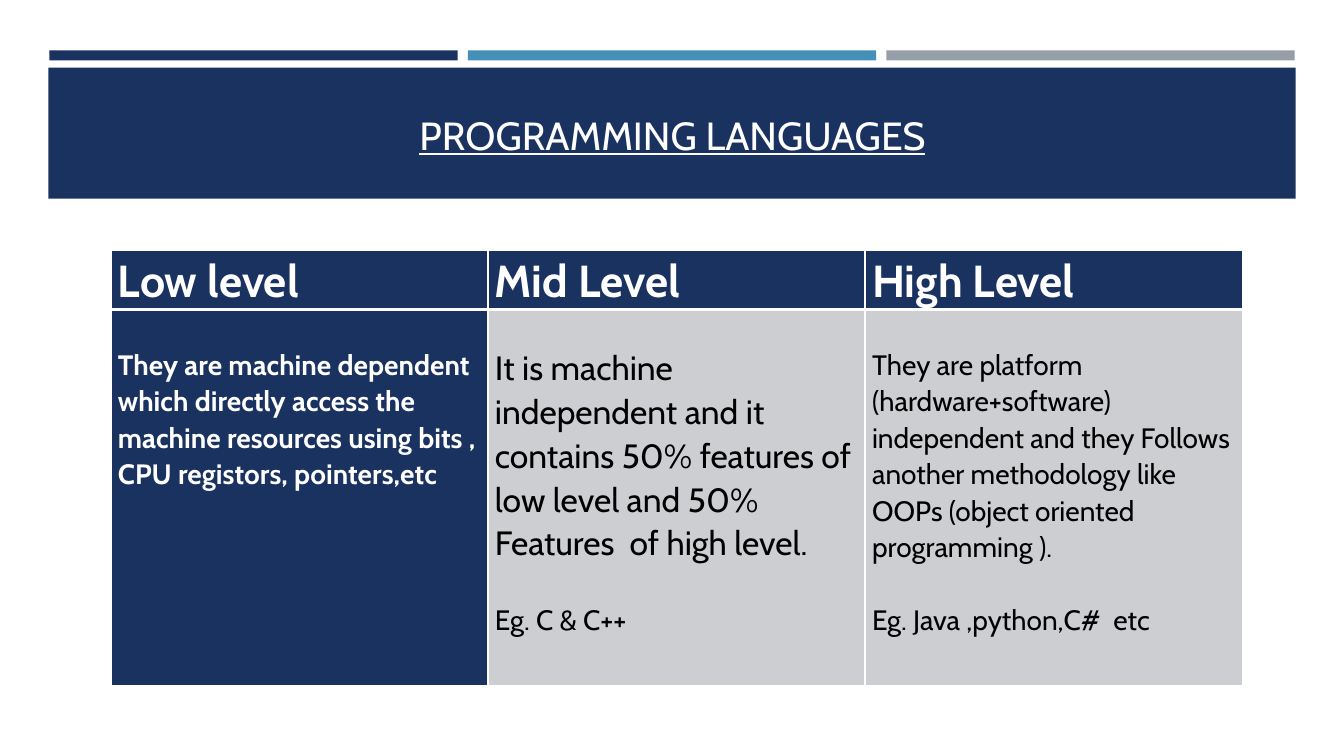
from lxml import etree
from pptx import Presentation
from pptx import util as u
from pptx.dml.color import RGBColor
from pptx.enum import shapes, text
from pptx.oxml.ns import qn

COLORS = {"navy": "1A3260", "blue": "4590B8", "gray": "969FA7",
          "pale": "CDCED2", "white": "FFFFFF", "black": "000000"}


def add_run(para, words, size, color, bold=False):
    run = para.add_run()
    run.text = words
    font = run.font
    font.name, font.size, font.bold = "Cabin", u.Pt(size), bold
    font.color.rgb = RGBColor.from_string(COLORS[color])
    return run


def add_edge(cell, side, width):
    props = cell._tc.get_or_add_tcPr()
    line = etree.SubElement(props, qn(f"a:ln{side}"), w=str(u.Pt(width)))
    fill = etree.SubElement(line, qn("a:solidFill"))
    etree.SubElement(fill, qn("a:srgbClr"), val=COLORS["white"])


deck = Presentation()
deck.slide_width, deck.slide_height = u.Inches(13.33), u.Inches(7.5)
slide = deck.slides.add_slide(deck.slide_layouts[5])

# Three thin bars above the title band
bars = [(0.49 + 4.15 * i, 0.5, 4.05, 0.1, color)
        for i, color in enumerate(["navy", "blue", "gray"])]
band = (0.48, 0.67, 12.37, 1.3, "navy")
for left, top, width, height, color in bars + [band]:
    bar = slide.shapes.add_shape(
        shapes.MSO_SHAPE.RECTANGLE, u.Inches(left), u.Inches(top),
        u.Inches(width), u.Inches(height))
    bar.shadow.inherit = False
    bar.fill.solid()
    bar.fill.fore_color.rgb = RGBColor.from_string(COLORS[color])
    bar.line.fill.background()

# Title, brought in front of the band
title = slide.shapes.title
slide.shapes.element.append(title.element)
title.left, title.top = u.Inches(0.64), u.Inches(0.77)
title.width, title.height = u.Inches(12.06), u.Inches(0.85)
frame = title.text_frame
frame.word_wrap = True
frame.vertical_anchor = text.MSO_ANCHOR.BOTTOM
frame.paragraphs[0].alignment = text.PP_ALIGN.CENTER
add_run(frame.paragraphs[0], "PROGRAMMING LANGUAGES", 28, "white").font.underline = True

# Table: each cell holds its fill, font color, bold and (text, size) paragraphs
heads = [("navy", "white", True, [(name, 32)])
         for name in ["Low level", "Mid Level", "High Level"]]
bodies = [
    ("navy", "white", True, [
        ("They are machine dependent which directly access the machine "
         "resources using bits , CPU registors, pointers,etc", 20)]),
    ("pale", "black", False, [
        ("It is machine independent and it contains 50% features of low level "
         "and 50% Features  of high level.", 24),
        ("Eg. C & C++", 20)]),
    ("pale", "black", False, [
        ("They are platform (hardware+software) independent and they Follows "
         "another methodology like OOPs (object oriented programming ).", 20),
        ("Eg. Java ,python,C#  etc", 20)]),
]
table = slide.shapes.add_table(2, 3, u.Inches(1.1), u.Inches(2.48),
                               u.Inches(11.22), u.Inches(4.32)).table
for col in table.columns:
    col.width = u.Inches(3.74)

rows = [(heads, 0.59, 0, (1, 3)), (bodies, 3.73, 0.36, (3, 1))]
for r, (cells, height, inset, (above, below)) in enumerate(rows):
    table.rows[r].height = u.Inches(height)
    for c, (fill, color, bold, paras) in enumerate(cells):
        cell = table.cell(r, c)
        cell.margin_left = cell.margin_right = u.Inches(0.07)
        cell.margin_top, cell.margin_bottom = u.Inches(inset), 0
        for side, width in zip("LRTB", (1, 1, above, below)):
            add_edge(cell, side, width)
        cell.fill.solid()
        cell.fill.fore_color.rgb = RGBColor.from_string(COLORS[fill])
        for i, (words, size) in enumerate(paras):
            frame = cell.text_frame
            para = frame.add_paragraph() if i else frame.paragraphs[0]
            para.line_spacing = 1.07
            para.space_before = u.Pt(26 if i else 0)
            add_run(para, words, size, color, bold)

deck.save("out.pptx")
